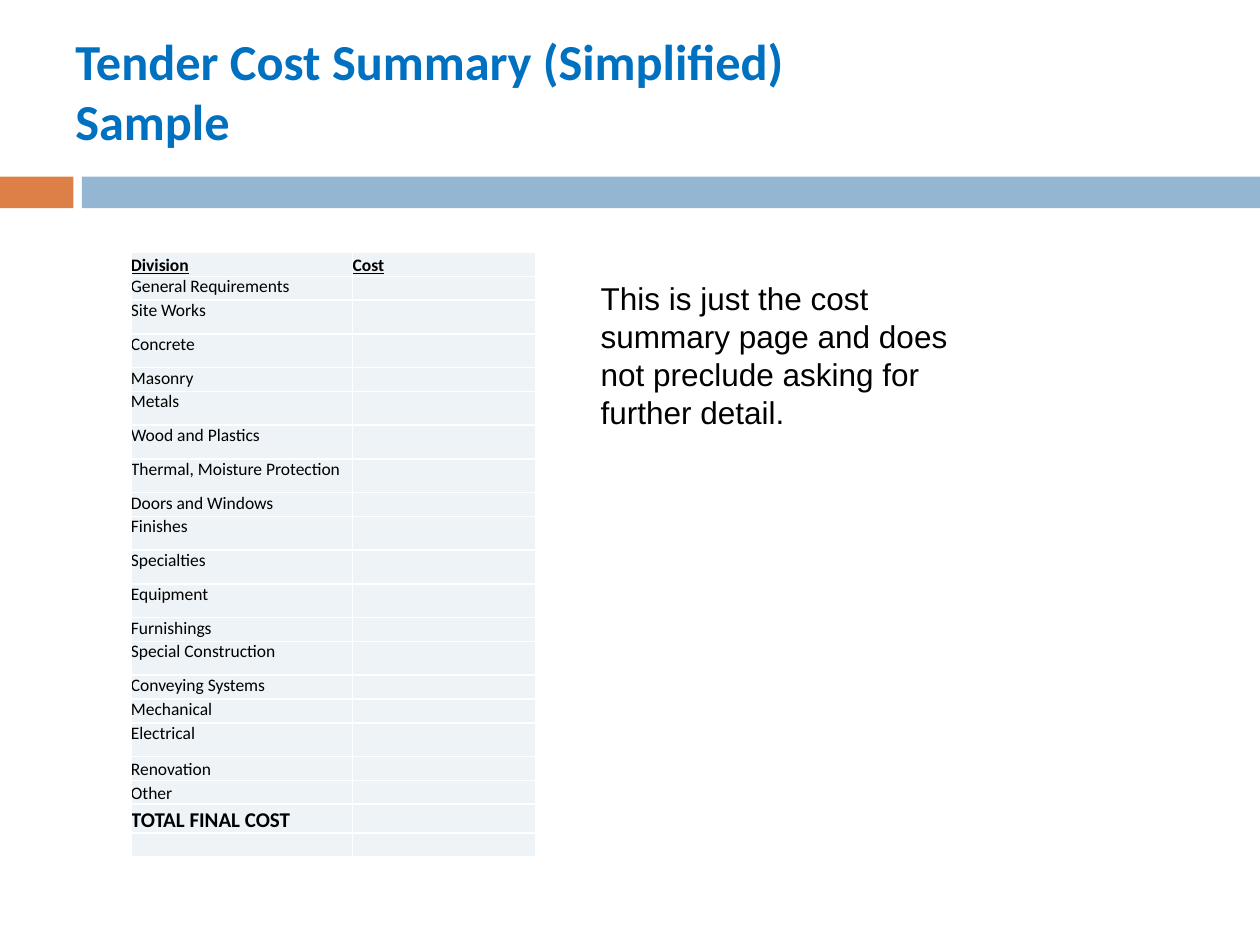
import pptx
import pptx.dml.color
import pptx.enum.shapes
import pptx.enum.text
import pptx.oxml
import pptx.oxml.ns
import pptx.util
from lxml import etree

Cm = pptx.util.Cm
Pt = pptx.util.Pt
RGBColor = pptx.dml.color.RGBColor
ANCHOR = pptx.enum.text.MSO_ANCHOR
qn = pptx.oxml.ns.qn

ORANGE = RGBColor(0xDD, 0x80, 0x47)
BLUE = RGBColor(0x94, 0xB6, 0xD2)
TITLE_BLUE = RGBColor(0x00, 0x70, 0xC0)
CELL_FILL = RGBColor(0xEE, 0xF3, 0xF7)
BLACK = RGBColor(0, 0, 0)
WHITE = RGBColor(0xFF, 0xFF, 0xFF)

TITLE = "Tender Cost Summary (Simplified)\vSample"
NOTE = "This is just the cost summary page and does not preclude asking for further detail."
HEADER = ("Division", "Cost")
TOTAL = "TOTAL FINAL COST"
DIVISIONS = [
    "General Requirements", "Site Works", "Concrete", "Masonry", "Metals",
    "Wood and Plastics", "Thermal, Moisture Protection", "Doors and Windows",
    "Finishes", "Specialties", "Equipment", "Furnishings",
    "Special Construction", "Conveying Systems", "Mechanical", "Electrical",
    "Renovation", "Other",
]
SHORT_DIVISIONS = {
    "General Requirements", "Masonry", "Doors and Windows", "Furnishings",
    "Conveying Systems", "Mechanical", "Renovation", "Other",
}
BOTTOM_LABELS = {*HEADER, "Renovation", "Other", TOTAL}
SHORT, TALL, TOTAL_HEIGHT = 0.48, 0.68, 0.58
COLUMN_WIDTHS = (4.47, 3.68)
BANDS = [(0, 1.48, ORANGE), (1.65, 23.75, BLUE)]


def row_height(label):
    if label == TOTAL:
        return TOTAL_HEIGHT
    return TALL if label in DIVISIONS and label not in SHORT_DIVISIONS else SHORT


def style(span, name, size, color, bold=False, underline=False):
    font = span.font
    font.name, font.size, font.bold, font.underline = name, Pt(size), bold, underline
    font.color.rgb = color


def add_band(page, left, width, color):
    band = page.shapes.add_shape(
        pptx.enum.shapes.MSO_SHAPE.RECTANGLE, Cm(left), Cm(3.56), Cm(width), Cm(0.64))
    band.shadow.inherit = False
    band.fill.solid()
    band.fill.fore_color.rgb = color
    band.line.fill.background()


def add_text(page, text, place, name, size, color, bold=False, anchor=ANCHOR.TOP):
    box = page.shapes.add_textbox(*(Cm(length) for length in place))
    frame = box.text_frame
    frame.word_wrap = True
    frame.vertical_anchor = anchor
    frame.text = text
    for span in frame.paragraphs[0].runs:
        style(span, name, size, color, bold)


def add_borders(cell):
    properties = cell._tc.get_or_add_tcPr()
    for position, side in enumerate(("a:lnL", "a:lnR", "a:lnT", "a:lnB")):
        line = etree.Element(qn(side), w=str(Pt(1)))
        fill = etree.SubElement(line, qn("a:solidFill"))
        etree.SubElement(fill, qn("a:srgbClr"), val=str(WHITE))
        properties.insert(position, line)


def fill_cell(cell, label):
    cell.margin_left = cell.margin_right = cell.margin_top = cell.margin_bottom = 0
    cell.vertical_anchor = ANCHOR.BOTTOM if label in BOTTOM_LABELS else ANCHOR.TOP
    cell.fill.solid()
    cell.fill.fore_color.rgb = CELL_FILL
    add_borders(cell)
    para = cell.text_frame.paragraphs[0]
    if label:
        para.text = label
        header = label in HEADER
        style(para.runs[0], "Calibri", 12 if label == TOTAL else 10, BLACK,
              header or label == TOTAL, header)
    else:
        etree.SubElement(para._p, qn("a:endParaRPr"), sz="1000")


def add_cost_table(page):
    rows = [HEADER] + [(label, "") for label in DIVISIONS + [TOTAL, ""]]
    heights = [row_height(label) for label, cost in rows]
    table = page.shapes.add_table(
        len(rows), len(HEADER), Cm(2.64), Cm(5.09),
        Cm(sum(COLUMN_WIDTHS)), Cm(sum(heights))).table
    for column, width in zip(table.columns, COLUMN_WIDTHS):
        column.width = Cm(width)
    for row, height, labels in zip(table.rows, heights, rows):
        row.height = Cm(height)
        for cell, label in zip(row.cells, labels):
            fill_cell(cell, label)


def main():
    deck = pptx.Presentation()
    deck.slide_width, deck.slide_height = Cm(25.4), Cm(19.05)
    page = deck.slides.add_slide(deck.slide_layouts[6])
    for band in BANDS:
        add_band(page, *band)
    add_cost_table(page)
    add_text(page, TITLE, (1.27, 0.66, 18.26, 2.51), "Calibri", 28.8, TITLE_BLUE,
             True, ANCHOR.BOTTOM)
    add_text(page, NOTE, (11.86, 5.51, 7.67, 3.33), "Arial", 18, BLACK)
    deck.save("out.pptx")


if __name__ == "__main__":
    main()
